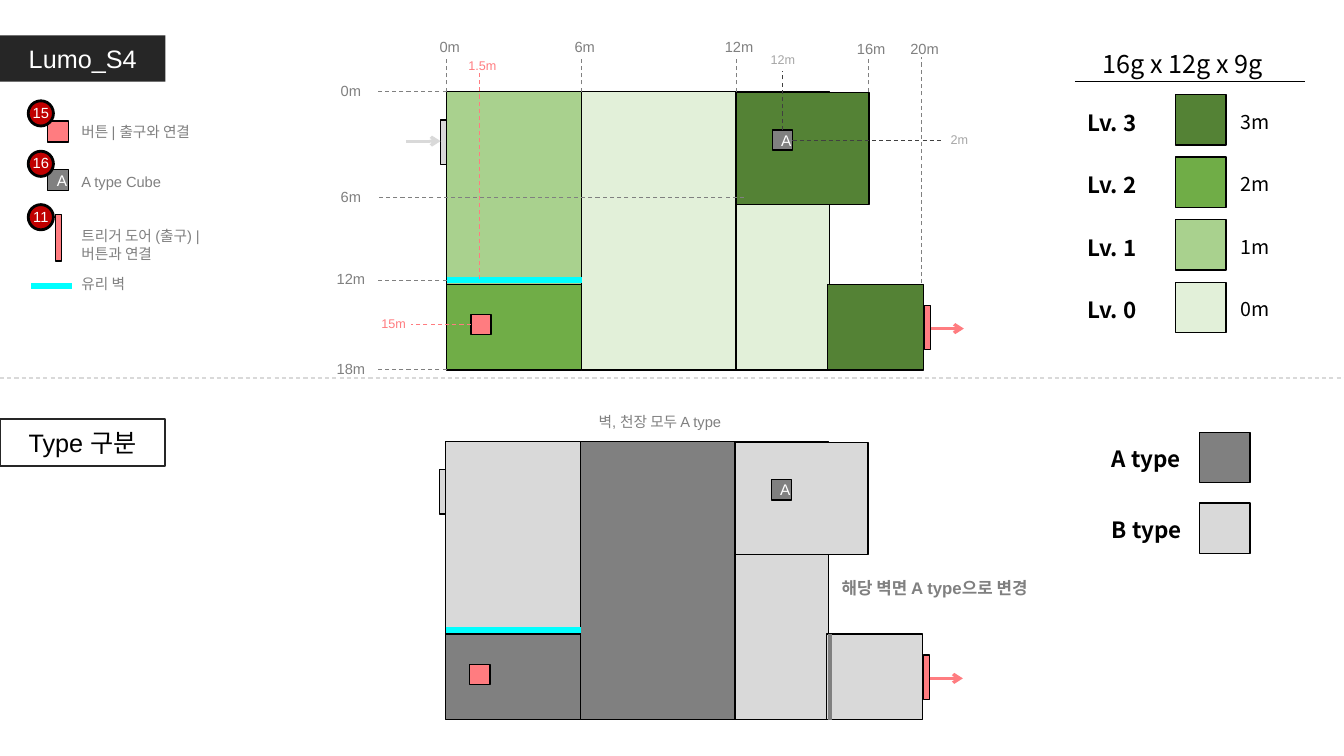
from pptx import Presentation
from pptx import util as u
from pptx.dml.color import RGBColor
from pptx.enum import dml, shapes, text
from pptx.oxml.ns import qn
from lxml import etree

ARIAL, NOTO = "Arial", "Noto Sans CJK KR"
THEME = {
    "black": "000000", "white": "FFFFFF", "ink": "262626", "dark": "404040",
    "grey": "808080", "soft": "A6A6A6", "pale": "D9D9D9", "pink": "FF7C80",
    "red": "C00000", "glass": "00FFFF",
    "lv0": "E2F0D9", "lv1": "A9D18E", "lv2": "70AD47", "lv3": "548235",
    "A": "808080", "B": "D9D9D9",
    "type": {
        "title": (18, ARIAL, "white", False),
        "section": (18, ARIAL, "black", False),
        "size": (18, NOTO, "black", False),
        "name": (16, NOTO, "black", True),
        "value": (14, NOTO, "black", False),
        "label": (10.5, ARIAL, "grey", False),
        "strong": (12, ARIAL, "grey", True),
        "badge": (10.5, ARIAL, "white", False),
        "cube": (11, ARIAL, "white", False),
        "mark": (9, ARIAL, "soft", False),
        "pinkmark": (9, ARIAL, "pink", False),
    },
}

WIDTH, HEIGHT = 13.33, 7.5
LEFT, CENTER = text.PP_ALIGN.LEFT, text.PP_ALIGN.CENTER

PLANS = [("level", 4.43, 0.91), ("type", 4.42, 4.38)]
ROOMS = [
    (1.34, 0, 1.85, 2.76, "lv0", "A"),
    (2.87, 0, 0.93, 2.76, "lv0", "B"),
    (0, 0, 1.34, 2.56, "lv1", "B"),
    (0, 1.91, 1.34, 0.85, "lv2", "A"),
    (2.87, 0.01, 1.32, 1.11, "lv3", "B"),
    (3.78, 1.91, 0.95, 0.85, "lv3", "B"),
    (-0.06, 0.28, 0.06, 0.44, "pale", "pale"),
    (4.74, 2.12, 0.06, 0.44, "pink", "pink"),
    (0.24, 2.21, 0.2, 0.2, "pink", "pink"),
]
COLUMNS = [("0m", 4.43, 0.33, 0.91), ("6m", 5.77, 0.33, 0.91), ("12m", 7.3, 0.33, 0.91),
           ("16m", 8.61, 0.35, 0.91), ("20m", 9.14, 0.35, 2.81)]
ROWS = [("0m", 0.91, 4.43), ("6m", 1.96, 7.38), ("12m", 2.78, 4.43), ("18m", 3.67, 4.43)]
MARK_LINES = [
    (7.76, 1.29, 7.76, 0.7, "dark"), (7.86, 1.39, 9.33, 1.39, "dark"),
    (4.76, 2.77, 4.76, 0.72, "pink"), (4.67, 3.22, 4.08, 3.22, "pink"),
]
MARKS = [("12m", 7.35, 0.47, "mark", CENTER), ("2m", 9.33, 1.26, "mark", LEFT),
         ("1.5m", 4.37, 0.52, "pinkmark", CENTER), ("15m", 3.49, 3.08, "pinkmark", CENTER)]
KEY_LABELS = [("버튼 | 출구와 연결", 1.17, 0.28), ("A type Cube", 1.67, 0.28),
              ("트리거 도어 (출구) | 버튼과 연결", 2.2, 0.45), ("유리 벽", 2.68, 0.28)]
BADGES = [("15", 1.0), ("16", 1.5), ("11", 2.03)]
LEVELS = [("Lv. 3", "lv3", "3m"), ("Lv. 2", "lv2", "2m"),
          ("Lv. 1", "lv1", "1m"), ("Lv. 0", "lv0", "0m")]
TYPES = [("A type", "A"), ("B type", "B")]

deck = Presentation()
deck.slide_width, deck.slide_height = u.Inches(WIDTH), u.Inches(HEIGHT)
page = deck.slides.add_slide(deck.slide_layouts[5])


def color(name):
    return RGBColor.from_string(THEME[name])


def write(box, content, style, align=CENTER, anchor=text.MSO_ANCHOR.MIDDLE, wrap=True):
    size, face, ink, bold = THEME["type"][style]
    frame = box.text_frame
    frame.auto_size = text.MSO_AUTO_SIZE.NONE
    frame.word_wrap = wrap
    frame.vertical_anchor = anchor
    para = frame.paragraphs[0]
    para.text, para.alignment = content, align
    para.font.size, para.font.name, para.font.bold = u.Pt(size), face, bold
    para.font.color.rgb = color(ink)


def label(content, x, y, w, h, style="label", align=LEFT):
    box = page.shapes.add_textbox(*map(u.Inches, (x, y, w, h)))
    write(box, content, style, align, text.MSO_ANCHOR.TOP)


def block(x, y, w, h, fill, line="black", weight=1, kind=shapes.MSO_SHAPE.RECTANGLE):
    box = page.shapes.add_shape(kind, *map(u.Inches, (x, y, w, h)))
    box.shadow.inherit = False
    box.fill.solid()
    box.fill.fore_color.rgb = color(fill)
    box.line.color.rgb = color(line)
    box.line.width = u.Pt(weight)
    return box


def rule(x1, y1, x2, y2, ink, weight=0.75, dashed=False, arrow=False):
    link = page.shapes.add_connector(shapes.MSO_CONNECTOR.STRAIGHT,
                                     *map(u.Inches, (x1, y1, x2, y2)))
    link.line.color.rgb = color(ink)
    link.line.width = u.Pt(weight)
    if dashed:
        link.line.dash_style = dml.MSO_LINE.DASH
    if arrow:
        etree.SubElement(link.line._get_or_add_ln(), qn("a:tailEnd"), type="arrow")
    etree.SubElement(link._element.spPr, qn("a:effectLst"))


def cube(x, y, side):
    box = block(x, y, side, side, "grey")
    write(box, "A", "cube", wrap=False)
    frame = box.text_frame
    frame.margin_left = u.Inches(0.08)
    frame.margin_right = frame.margin_top = frame.margin_bottom = 0


def badge(number, y):
    box = block(0.28, y, 0.25, 0.25, "red", weight=2, kind=shapes.MSO_SHAPE.OVAL)
    write(box, number, "badge", wrap=False)
    frame = box.text_frame
    frame.margin_left = frame.margin_right = frame.margin_top = 0
    frame.margin_bottom = u.Inches(0.02)


def plan(view, left, top):
    for x, y, w, h, level, kind in ROOMS:
        block(left + x, top + y, w, h, level if view == "level" else kind)
    cube(left + 3.23, top + 0.38, 0.2)
    rule(left, top + 1.87, left + 1.34, top + 1.87, "glass", 4.5)
    rule(left + 4.8, top + 2.35, left + 5.13, top + 2.35, "pink", 2.25, arrow=True)


title = page.shapes.title
title.left, title.top, title.width, title.height = map(u.Inches, (0, 0.35, 1.64, 0.46))
title.fill.solid()
title.fill.fore_color.rgb = color("ink")
write(title, "Lumo_S4", "title")
write(block(0, 4.16, 1.64, 0.46, "white", "ink", 1.5), "Type 구분", "section")
rule(0, HEIGHT / 2, WIDTH, HEIGHT / 2, "pale", dashed=True)

for view, left, top in PLANS:
    plan(view, left, top)
rule(4.03, 1.4, 4.37, 1.4, "pale", 2.25, arrow=True)
rule(8.23, 6.29, 8.23, 7.14, "grey", 3)

for name, x, top, start in COLUMNS:
    rule(x, start, x, 0.57, "grey", dashed=True)
    label(name, x - 0.46, top, 0.98, 0.28, align=CENTER)
for name, y, start in ROWS:
    rule(start, y, 3.73, y, "grey", dashed=True)
    label(name, 2.99, y - 0.15, 0.98, 0.28, align=CENTER)
for *ends, ink in MARK_LINES:
    rule(*ends, ink, dashed=True)
for name, x, y, style, align in MARKS:
    label(name, x, y, 0.83, 0.25, style, align)

block(0.47, 1.2, 0.21, 0.21, "pink")
cube(0.47, 1.68, 0.21)
block(0.55, 2.13, 0.06, 0.46, "pink")
rule(0.31, 2.84, 0.71, 2.84, "glass", 4.5)
for number, y in BADGES:
    badge(number, y)
for name, y, h in KEY_LABELS:
    label(name, 0.71, y, 1.58, h)

label("16g x 12g x 9g", 10.63, 0.43, 2.2, 0.4, "size", CENTER)
rule(10.66, 0.81, 12.94, 0.81, "black", 1)
for i, (name, fill, height) in enumerate(LEVELS):
    y = 0.94 + 0.62 * i
    block(11.66, y, 0.5, 0.5, fill)
    label(name, 10.69, y + 0.09, 1.07, 0.37, "name")
    label(height, 12.21, y + 0.1, 0.71, 0.33, "value")
for i, (name, fill) in enumerate(TYPES):
    y = 4.29 + 0.7 * i
    block(11.9, y, 0.5, 0.5, fill)
    label(name, 10.93, y + 0.08, 1.07, 0.37, "name")

label("벽, 천장 모두 A type", 5.66, 4.05, 1.77, 0.28, align=CENTER)
label("해당 벽면 A type으로 변경", 8.25, 5.68, 2.27, 0.3, "strong")

deck.save("out.pptx")
